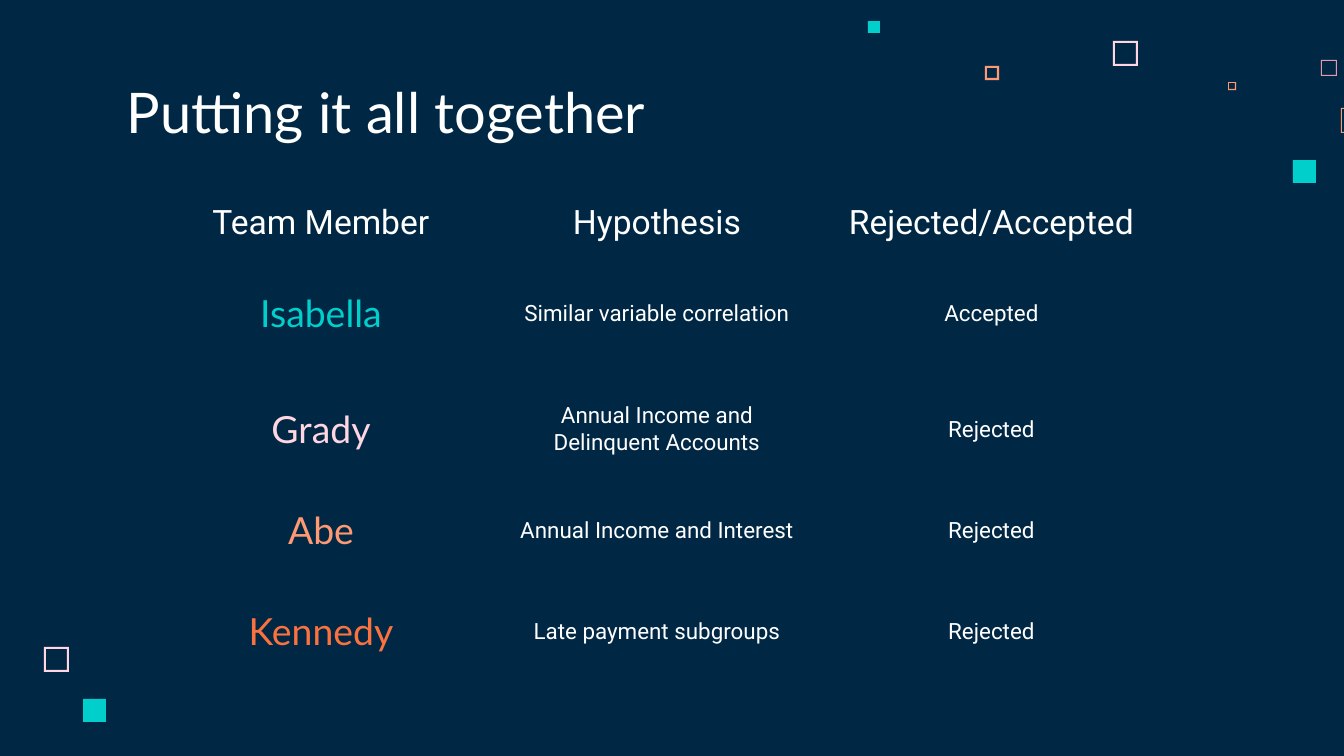
"""Build the team hypothesis summary slide."""
from pptx import Presentation
from pptx.dml.color import RGBColor
from pptx.enum.shapes import MSO_SHAPE as Shape
from pptx.enum.text import MSO_ANCHOR as Anchor, MSO_AUTO_SIZE as AutoSize, PP_ALIGN as Align
from pptx.util import Pt

PX = 914400 / 134.4
COLORS = {
    "navy": "002845",
    "white": "FFFFFF",
    "teal": "00CFCC",
    "blush": "FFD6E1",
    "rose": "E898AC",
    "peach": "FF9973",
    "orange": "FC723F",
}
NO_GRID_STYLE = "{2D5ABB26-0587-4C30-8999-92F81FD0307C}"


def px(length):
    return round(length * PX)


def style_font(font, name, size, color):
    font.name, font.size, font.bold = name, Pt(size), False
    font.color.rgb = RGBColor.from_string(COLORS[color])


presentation = Presentation()
presentation.slide_width, presentation.slide_height = px(1344), px(756)
slide = presentation.slides.add_slide(presentation.slide_layouts[5])
slide.background.fill.solid()
slide.background.fill.fore_color.rgb = RGBColor.from_string(COLORS["navy"])

decorations = [
    (1113, 41, 25, 2, "blush"),
    (1321, 60, 16, 1, "rose"),
    (1228, 82, 8, 1, "peach"),
    (1341, 108, 25, 1, "peach"),
    (1293, 160, 23, 0, "teal"),
    (985, 66, 14, 2, "peach"),
    (868, 21, 12, 0, "teal"),
    (44, 647, 25, 2, "blush"),
    (83, 699, 23, 0, "teal"),
]
for left, top, size, thickness, color in decorations:
    kind = Shape.FRAME if thickness else Shape.RECTANGLE
    square = slide.shapes.add_shape(kind, px(left), px(top), px(size), px(size))
    if thickness:
        square.adjustments[0] = thickness / size
    square.shadow.inherit = False
    square.fill.solid()
    square.fill.fore_color.rgb = RGBColor.from_string(COLORS[color])
    square.line.fill.background()

title = slide.shapes.title
title.left, title.top, title.width, title.height = px(114), px(74), px(695), px(84)
frame = title.text_frame
frame.text = "Putting it all together"
frame.auto_size, frame.word_wrap = AutoSize.NONE, True
frame.vertical_anchor = Anchor.BOTTOM
frame.margin_left = frame.margin_right = frame.margin_top = frame.margin_bottom = px(13)
frame.paragraphs[0].alignment = Align.LEFT
style_font(frame.paragraphs[0].font, "Lato", 30, "white")

rows = [
    ("Team Member", "Hypothesis", "Rejected/Accepted"),
    ("Isabella", "Similar variable correlation", "Accepted"),
    ("Grady", "Annual Income and Delinquent Accounts", "Rejected"),
    ("Abe", "Annual Income and Interest", "Rejected"),
    ("Kennedy", "Late payment subgroups", "Rejected"),
]
column_widths = [344, 328, 341]
row_heights = [65, 116, 116, 86, 116]
member_colors = ["white", "teal", "blush", "peach", "orange"]

table = slide.shapes.add_table(
    len(rows), len(column_widths), px(149), px(190), px(sum(column_widths)), px(sum(row_heights))
).table
table.first_row = table.horz_banding = False
table._tbl.tblPr[0].text = NO_GRID_STYLE
for column, width in zip(table.columns, column_widths):
    column.width = px(width)
for row_index, (texts, height) in enumerate(zip(rows, row_heights)):
    table.rows[row_index].height = px(height)
    for column_index, text in enumerate(texts):
        cell = table.cell(row_index, column_index)
        cell.text = text
        cell.fill.background()
        cell.margin_left = cell.margin_right = cell.margin_top = cell.margin_bottom = px(13)
        cell.vertical_anchor = Anchor.MIDDLE if row_index else Anchor.TOP
        paragraph = cell.text_frame.paragraphs[0]
        paragraph.alignment = Align.CENTER
        if row_index == 0:
            style_font(paragraph.font, "Roboto", 18, "white")
        elif column_index == 0:
            style_font(paragraph.font, "Lato", 20, member_colors[row_index])
        else:
            style_font(paragraph.font, "Roboto", 12, "white")

presentation.save("out.pptx")
